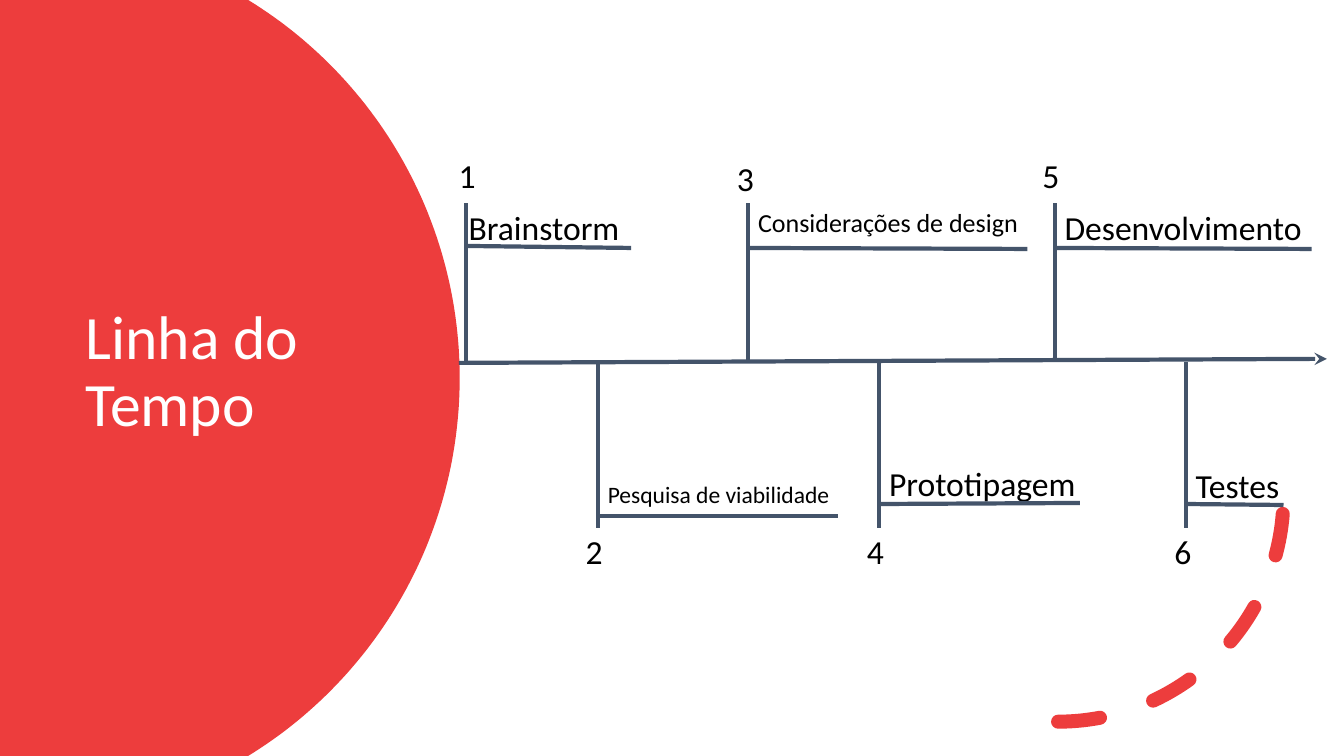
from math import asin, cos, sin

from lxml.etree import SubElement
from pptx import Presentation
from pptx.dml.color import RGBColor
from pptx.enum.dml import MSO_LINE
from pptx.enum.shapes import MSO_CONNECTOR, MSO_SHAPE
from pptx.enum.text import MSO_ANCHOR
from pptx.oxml.ns import qn
from pptx.util import Inches, Pt

RED, SLATE, BLACK, WHITE = "ED3D3D", "44546A", "000000", "FFFFFF"

deck = Presentation()
deck.slide_width, deck.slide_height = Inches(13.33), Inches(7.5)
page = deck.slides.add_slide(deck.slide_layouts[6])


def add_text(text, left, top, width, height, size, color=BLACK, before=10):
    box = page.shapes.add_textbox(Inches(left), Inches(top), Inches(width), Inches(height))
    frame = box.text_frame
    frame.word_wrap = True
    frame.vertical_anchor = MSO_ANCHOR.MIDDLE
    para = frame.paragraphs[0]
    para.text = text
    para.line_spacing = 0.9
    para.space_before = Pt(before)
    para.font.name = "Calibri"
    para.font.size = Pt(size)
    para.font.color.rgb = RGBColor.from_string(color)


def add_line(x1, y1, x2, y2):
    line = page.shapes.add_connector(
        MSO_CONNECTOR.STRAIGHT, Inches(x1), Inches(y1), Inches(x2), Inches(y2))
    line.line.color.rgb = RGBColor.from_string(SLATE)
    line.line.width = Pt(3)
    SubElement(line._element.spPr, qn("a:effectLst"))
    return line


center_x, center_y, radius, steps = 0.16, 3.75, 4.4, 120
limit = asin(center_y / radius)
angles = [limit * (2 * step / steps - 1) for step in range(steps + 1)]
edge = [(Inches(center_x + radius * cos(angle)), Inches(center_y + radius * sin(angle)))
        for angle in angles]
builder = page.shapes.build_freeform(0, 0)
builder.add_line_segments(edge + [(0, Inches(7.5))], close=True)
disc = builder.convert_to_shape()
disc.shadow.inherit = False
disc.fill.solid()
disc.fill.fore_color.rgb = RGBColor.from_string(RED)
disc.line.fill.background()

add_text("Linha do Tempo", 0.75, 1.26, 3.5, 4.88, 44, WHITE, 0)

arc = page.shapes.add_shape(
    MSO_SHAPE.ARC, Inches(8.26), Inches(2.69), Inches(4.47), Inches(4.47))
arc.shadow.inherit = False
arc.fill.background()
arc.line.color.rgb = RGBColor.from_string(RED)
arc.line.width = Pt(10)
arc.line.dash_style = MSO_LINE.DASH
arc.line._get_or_add_ln().set("cap", "rnd")
arc._element.spPr.xfrm.set("flipV", "1")

axis = add_line(4.55, 3.6, 13.16, 3.56)
SubElement(axis.line._get_or_add_ln(), qn("a:tailEnd"), type="stealth")

stages = [
    ("Brainstorm", 24, 4.62, 4.55, 2.28, 2.44, 6.26, 2.46, 4.45, 1.51),
    ("Pesquisa de viabilidade", 16.8, 5.93, 5.93, 4.92, 5.12, 8.31, 5.12, 5.71, 5.24),
    ("Considerações de design", 18.6, 7.42, 7.42, 2.22, 2.46, 10.19, 2.47, 7.21, 1.54),
    ("Prototipagem", 24, 8.72, 8.72, 4.82, 5, 10.71, 4.99, 8.5, 5.24),
    ("Desenvolvimento", 24, 10.46, 10.46, 2.28, 2.46, 13.01, 2.47, 10.24, 1.51),
    ("Testes", 24, 11.76, 11.76, 4.84, 5, 12.73, 5.01, 11.55, 5.24),
]
for number, stage in enumerate(stages, 1):
    (name, size, stem, label_left, label_middle,
     rule_start, rule_right, rule_end, number_left, number_top) = stage
    add_line(stem, 3.59, stem, 2.01 if number % 2 else 5.24)
    label_width = min(2.84, 13.33 - label_left)
    add_text(name, label_left, label_middle - 0.28, label_width, 0.56, size)
    add_line(stem, rule_start, rule_right, rule_end)
    add_text(str(number), number_left, number_top, 0.44, 0.5, 24)

deck.save("out.pptx")
